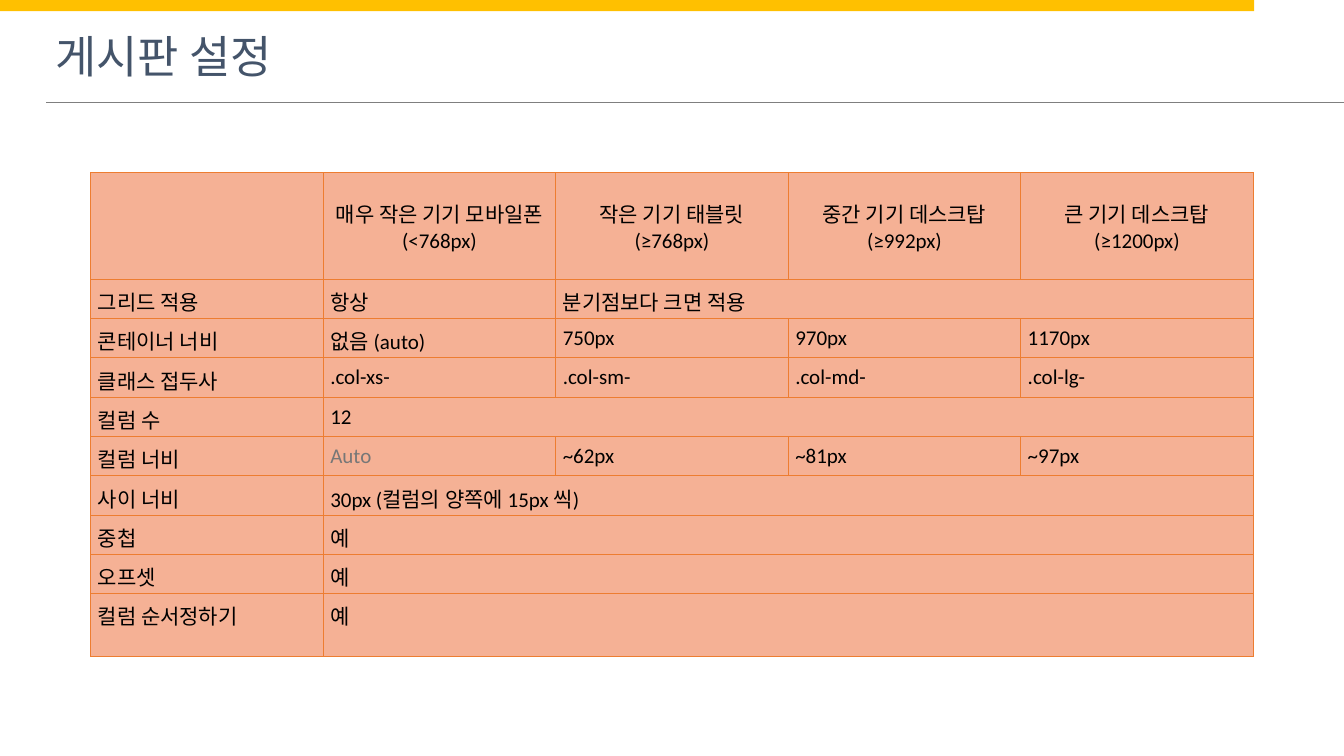
from lxml import etree
from pptx import Presentation
from pptx.dml.color import RGBColor
from pptx.enum.shapes import MSO_CONNECTOR, MSO_SHAPE
from pptx.enum.text import MSO_ANCHOR, PP_ALIGN
from pptx.oxml.ns import qn
from pptx.util import Inches, Pt

RECT = MSO_SHAPE.RECTANGLE
STRAIGHT = MSO_CONNECTOR.STRAIGHT
TOP, MIDDLE = MSO_ANCHOR.TOP, MSO_ANCHOR.MIDDLE
LEFT, CENTER = PP_ALIGN.LEFT, PP_ALIGN.CENTER

ROWS = [
    ["", "매우 작은 기기 모바일폰 (<768px)", "작은 기기 태블릿 (≥768px)",
     "중간 기기 데스크탑 (≥992px)", "큰 기기 데스크탑 (≥1200px)"],
    ["그리드 적용", "항상", "분기점보다 크면 적용"],
    ["콘테이너 너비", "없음 (auto)", "750px", "970px", "1170px"],
    ["클래스 접두사", ".col-xs-", ".col-sm-", ".col-md-", ".col-lg-"],
    ["컬럼 수", "12"],
    ["컬럼 너비", "Auto", "~62px", "~81px", "~97px"],
    ["사이 너비", "30px (컬럼의 양쪽에 15px 씩)"],
    ["중첩", "예"],
    ["오프셋", "예"],
    ["컬럼 순서정하기", "예"],
]


def rgb(value):
    return RGBColor.from_string(value)


class Deck:
    title_font, body_font = "Arial", "Calibri"
    title_color, text_color, muted = "44546A", "000000", "777777"
    bar_color, rule_color = "FFC000", "7F7F7F"
    cell_color, border_color = "F5B195", "ED7D31"

    def __init__(self, prs):
        self.slide = prs.slides.add_slide(prs.slide_layouts[6])

    def run(self, p, text, size, font, color):
        r = p.add_run()
        r.text = text
        r.font.size = Pt(size)
        r.font.name = font
        r.font.color.rgb = rgb(color)

    def title(self, text, x, y, w, h):
        sp = self.slide.shapes.add_textbox(Inches(x), Inches(y), Inches(w), Inches(h))
        tf = sp.text_frame
        tf.word_wrap = True
        self.run(tf.paragraphs[0], text, 32, self.title_font, self.title_color)

    def bar(self, x, y, w, h):
        sp = self.slide.shapes.add_shape(RECT, Inches(x), Inches(y), Inches(w), Inches(h))
        sp.shadow.inherit = False
        sp.fill.solid()
        sp.fill.fore_color.rgb = rgb(self.bar_color)
        sp.line.fill.background()

    def rule(self, x1, x2, y):
        line = self.slide.shapes.add_connector(
            STRAIGHT, Inches(x1), Inches(y), Inches(x2), Inches(y))
        line.line.color.rgb = rgb(self.rule_color)
        line.line.width = Pt(0.5)
        etree.SubElement(line._element.spPr, qn("a:effectLst"))

    def borders(self, cell):
        tcPr = cell._tc.get_or_add_tcPr()
        for i, side in enumerate(("lnL", "lnR", "lnT", "lnB")):
            ln = etree.Element(qn("a:" + side), w=str(Pt(0.5)))
            fill = etree.SubElement(ln, qn("a:solidFill"))
            etree.SubElement(fill, qn("a:srgbClr"), val=self.border_color)
            tcPr.insert(i, ln)

    def cell(self, cell, text, header):
        cell.fill.solid()
        cell.fill.fore_color.rgb = rgb(self.cell_color)
        self.borders(cell)
        cell.margin_left = cell.margin_right = Inches(0.07)
        cell.margin_top = cell.margin_bottom = Inches(0.07)
        cell.vertical_anchor = MIDDLE if header else TOP
        p = cell.text_frame.paragraphs[0]
        p.alignment = CENTER if header else LEFT
        p.font.size = Pt(15)
        if text:
            color = self.muted if text == "Auto" else self.text_color
            self.run(p, text, 15, self.body_font, color)

    def table(self, rows, x, y, w, heights):
        cols = len(rows[0])
        table = self.slide.shapes.add_table(
            len(rows), cols, Inches(x), Inches(y), Inches(w), Inches(sum(heights))).table
        for col in table.columns:
            col.width = Inches(w / cols)
        for i, (texts, height) in enumerate(zip(rows, heights)):
            table.rows[i].height = Inches(height)
            for j in range(cols):
                text = texts[j] if j < len(texts) else ""
                self.cell(table.cell(i, j), text, i == 0)
            if len(texts) < cols:
                table.cell(i, len(texts) - 1).merge(table.cell(i, cols - 1))


def main():
    prs = Presentation()
    prs.slide_width, prs.slide_height = Inches(13.33), Inches(7.5)
    deck = Deck(prs)
    deck.title("게시판 설정", 0.45, 0.24, 4.72, 0.64)
    deck.rule(0.46, 13.33, 1.02)
    deck.bar(0, 0, 12.44, 0.11)
    first, last, total = 1.06, 0.62, 4.76
    middle = len(ROWS) - 2
    heights = [first] + [(total - first - last) / middle] * middle + [last]
    deck.table(ROWS, 0.9, 1.71, 11.53, heights)
    prs.save("out.pptx")


if __name__ == "__main__":
    main()
